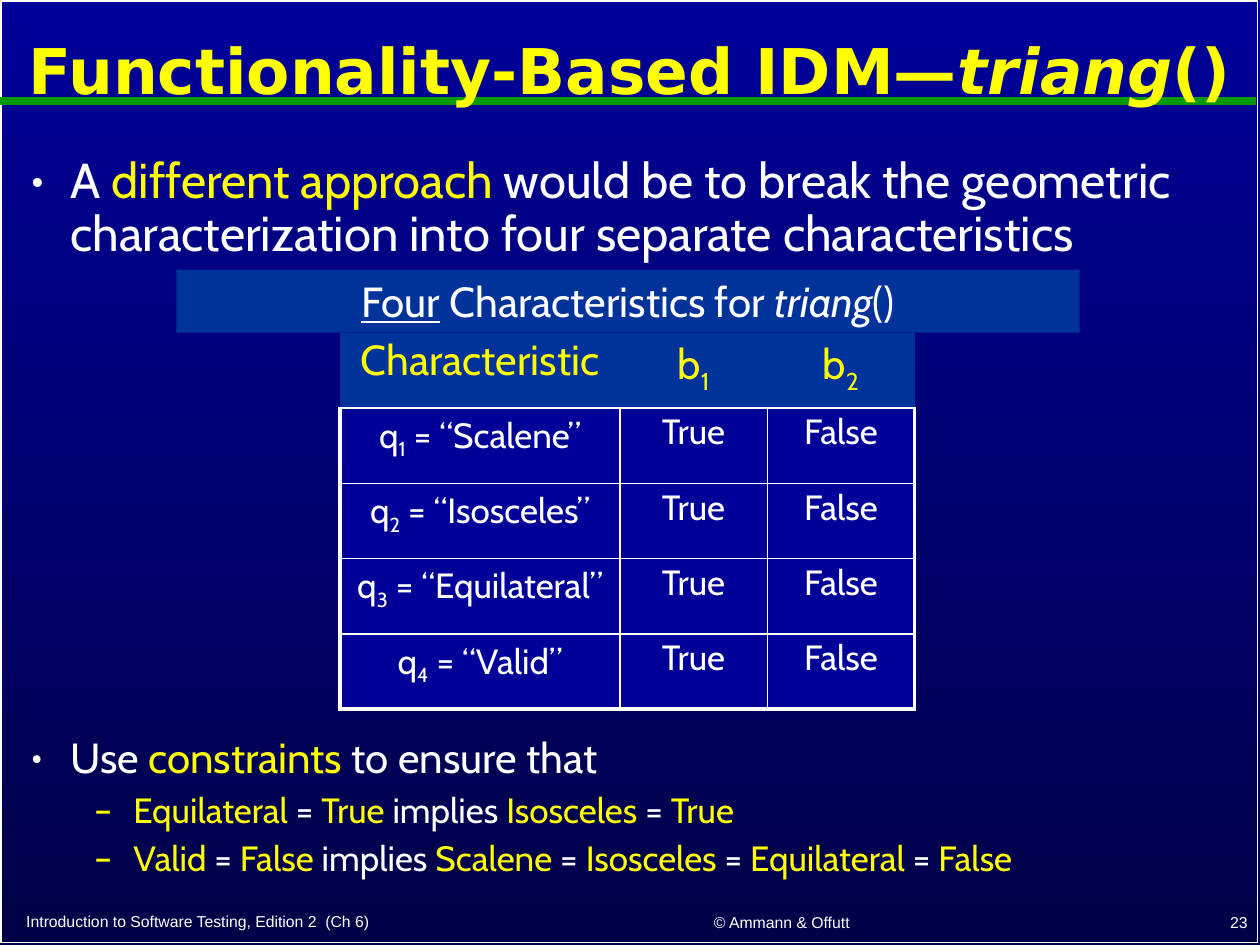
from lxml import etree
from pptx import Presentation
from pptx import util as u
from pptx.dml.color import RGBColor
from pptx.enum import shapes, text
from pptx.oxml import ns

COLORS = {
    "white": "FFFFFF",
    "yellow": "FFFF00",
    "green": "009900",
    "blue": "003399",
    "navy": "000099",
    "night": "000047",
}
ALIGN = text.PP_ALIGN
FONT = "Cabin"


def rgb(name):
    return RGBColor.from_string(COLORS[name])


def place(shape, left, top, width, height):
    shape.left, shape.top = u.Inches(left), u.Inches(top)
    shape.width, shape.height = u.Inches(width), u.Inches(height)


def node(parent, tag, **attrs):
    return etree.SubElement(parent, ns.qn(tag), attrs)


def tint(font):
    font.color.rgb = rgb("yellow")


def slant(font):
    font.italic = True


def lower(font):
    font._element.set("baseline", "-25000")


def write(para, line, size, color="white", accent=None, name=FONT, align=None):
    """Fill a paragraph; every second piece between bars gets the accent."""
    para.alignment = align
    for i, piece in enumerate(line.split("|")):
        if not piece:
            continue
        run = para.add_run()
        run.text = piece
        font = run.font
        font.size, font.name = u.Pt(size), name
        font.color.rgb = rgb(color)
        if i % 2:
            accent(font)


def bullet(para, char, indent, scale=100):
    props = para._p.get_or_add_pPr()
    props.set("marL", str(u.Inches(indent)))
    props.set("indent", str(u.Inches(-0.31)))
    node(props, "a:buSzPct", val=str(scale * 1000))
    node(props, "a:buFont", typeface=FONT)
    node(props, "a:buChar", char=char)


def fill_list(frame, items):
    """Write (level, size, line) items as a bulleted list."""
    frame.word_wrap = True
    frame.auto_size = text.MSO_AUTO_SIZE.NONE
    frame.vertical_anchor = text.MSO_ANCHOR.TOP
    for i, (level, size, line) in enumerate(items):
        para = frame.add_paragraph() if i else frame.paragraphs[0]
        para.level = level
        para.line_spacing = 0.9
        para.space_before = u.Pt(0.3 * size if i else 0)
        if level:
            bullet(para, "–", 0.81)
        else:
            bullet(para, "•", 0.31, 85)
        write(para, line, size, accent=tint)


def add_box(slide, *spot):
    return slide.shapes.add_textbox(*map(u.Inches, spot)).text_frame


def add_note(slide, line, align, *spot):
    frame = add_box(slide, *spot)
    frame.word_wrap = True
    frame.vertical_anchor = text.MSO_ANCHOR.BOTTOM
    write(frame.paragraphs[0], line, 9, name="Arial", align=align)


def add_rect(slide, *spot):
    kind = shapes.MSO_SHAPE.RECTANGLE
    rect = slide.shapes.add_shape(kind, *map(u.Inches, spot))
    rect.shadow.inherit = False
    return rect


def add_frame(slide):
    rect = add_rect(slide, 0.01, 0.01, 9.97, 7.47)
    rect.fill.background()
    rect.line.color.rgb = rgb("white")
    rect.line.width = u.Pt(1)


def add_rule(slide):
    ends = map(u.Inches, (0, 0.8, 9.97, 0.8))
    rule = slide.shapes.add_connector(shapes.MSO_CONNECTOR.STRAIGHT, *ends)
    rule.line.color.rgb = rgb("green")
    rule.line.width = u.Pt(4.5)
    node(rule._element.spPr, "a:effectLst")


def add_title(slide, line):
    title = slide.shapes.title
    place(title, 0.01, 0.11, 9.97, 0.95)
    frame = title.text_frame
    frame.auto_size = text.MSO_AUTO_SIZE.NONE
    frame.vertical_anchor = text.MSO_ANCHOR.MIDDLE
    para = frame.paragraphs[0]
    para.line_spacing = 0.9
    write(para, line, 36, "yellow", slant, "DejaVu Sans", ALIGN.CENTER)
    for run in para.runs:
        run.font.bold = True
    slide.shapes._spTree.append(title._element)  # in front of the rule


def add_banner(slide):
    rect = add_rect(slide, 1.4, 2.14, 7.17, 0.5)
    rect.fill.solid()
    rect.fill.fore_color.rgb = rgb("blue")
    rect.line.fill.background()
    para = rect.text_frame.paragraphs[0]
    write(para, "Four", 24, align=ALIGN.CENTER)
    para.runs[0].font.underline = True
    write(para, " Characteristics for |triang|()", 24, accent=slant, align=ALIGN.CENTER)


def edge(cell, side, width):
    line = node(cell._tc.get_or_add_tcPr(), "a:ln" + side, w=str(u.Pt(width)))
    node(node(line, "a:solidFill"), "a:srgbClr", val=COLORS["white"])


def add_grid(slide, rows):
    high, wide = len(rows), len(rows[0])
    spot = map(u.Inches, (2.7, 2.64, 4.57, 2.99))
    table = slide.shapes.add_table(high, wide, *spot).table
    table.first_row = table.horz_banding = False
    style = table._tbl.tblPr.find(ns.qn("a:tableStyleId"))
    style.text = "{2D5ABB26-0587-4C30-8999-92F81FD0307C}"  # no style, no grid
    for col, width in zip(table.columns, (2.22, 1.17, 1.17)):
        col.width = u.Inches(width)
    for r, row in enumerate(rows):
        for c, line in enumerate(row):
            cell = table.cell(r, c)
            if r:
                edge(cell, "L", 1 if c else 2.25)
                edge(cell, "R", 2.25 if c == wide - 1 else 1)
                edge(cell, "T", 1)
            edge(cell, "B", 2.25 if r == high - 1 else 1)
            cell.fill.solid()
            cell.fill.fore_color.rgb = rgb("navy" if r else "blue")
            para = cell.text_frame.paragraphs[0]
            para.line_spacing = 0.9
            size, color = (20, "white") if r else (24, "yellow")
            write(para, line, size, color, lower, align=ALIGN.CENTER)


def paint(slide):
    fill = slide.background.fill
    fill.gradient()
    fill.gradient_angle = 270
    for stop, name in zip(fill.gradient_stops, ("navy", "night")):
        stop.color.rgb = rgb(name)


def main():
    deck = Presentation()
    deck.slide_width, deck.slide_height = u.Inches(10), u.Inches(7.5)
    slide = deck.slides.add_slide(deck.slide_layouts[1])
    paint(slide)
    add_frame(slide)
    add_rule(slide)
    add_title(slide, "Functionality-Based IDM—|triang|()")

    body = slide.placeholders[1]
    place(body, 0.15, 1.19, 9.69, 0.92)
    fill_list(body.text_frame, [
        (0, 28, "A |different approach| would be to break the geometric "
                "characterization into four separate characteristics"),
    ])

    add_banner(slide)
    kinds = ("Scalene", "Isosceles", "Equilateral", "Valid")
    rows = [("Characteristic", "b|1", "b|2")]
    rows += [(f"q|{i}| = “{kind}”", "True", "False")
             for i, kind in enumerate(kinds, 1)]
    add_grid(slide, rows)

    fill_list(add_box(slide, 0.15, 5.8, 9.69, 1.19), [
        (0, 24, "Use |constraints| to ensure that"),
        (1, 20, "|Equilateral| = |True| implies |Isosceles| = |True"),
        (1, 20, "|Valid| = |False| implies |Scalene| = |Isosceles"
                "| = |Equilateral| = |False"),
    ])

    add_note(slide, "Introduction to Software Testing, Edition 2  (Ch 6)",
             ALIGN.LEFT, 0.11, 7.18, 4.31, 0.26)
    add_note(slide, "© Ammann & Offutt", ALIGN.CENTER, 4.62, 7.17, 3.17, 0.27)
    add_note(slide, "23", ALIGN.RIGHT, 7.92, 7.16, 2.08, 0.28)
    deck.save("out.pptx")


if __name__ == "__main__":
    main()
